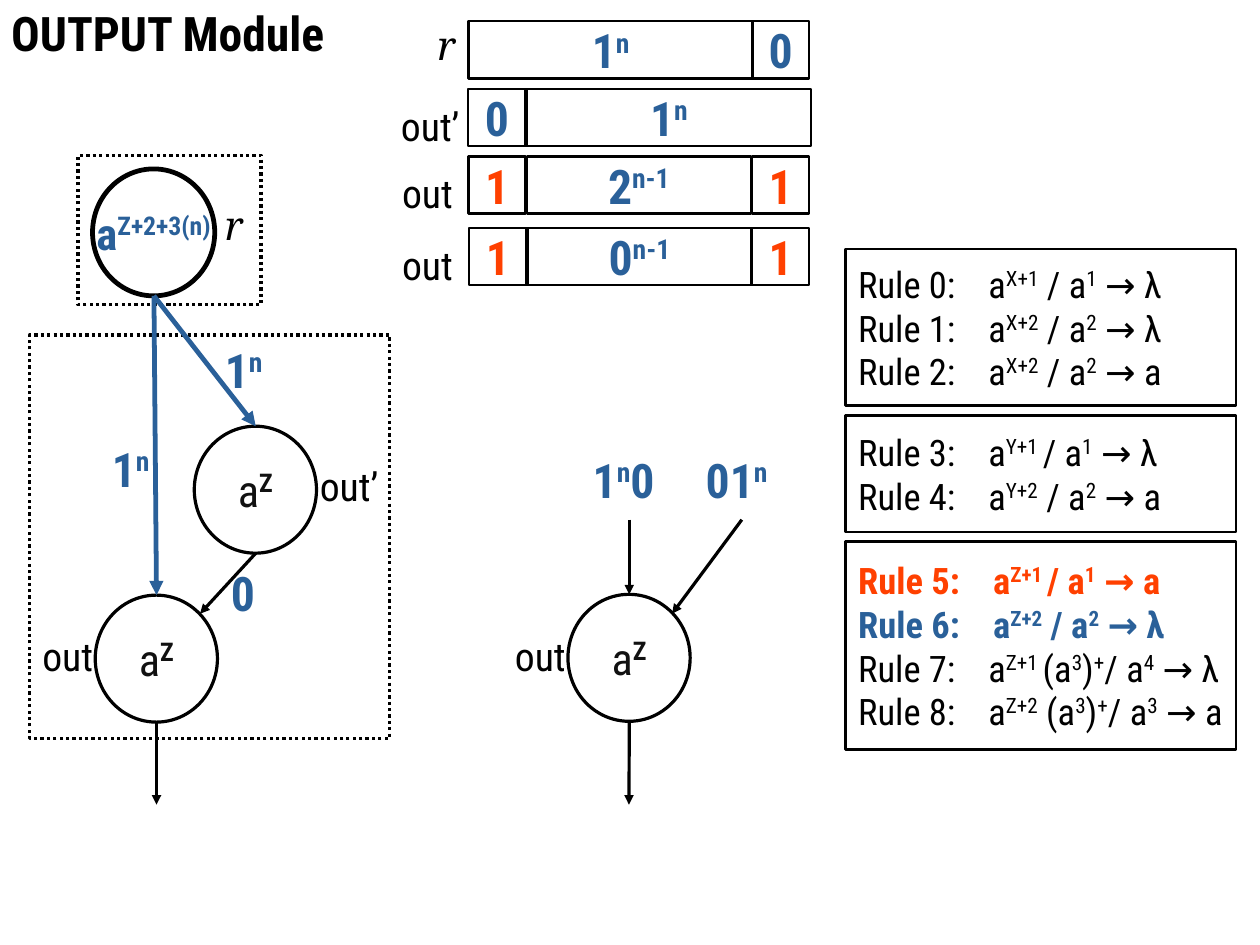
from lxml import etree
from pptx import Presentation
from pptx.dml.color import RGBColor
from pptx.enum import dml, shapes, text
from pptx.oxml import ns
from pptx.util import Pt

BLACK = RGBColor(0x00, 0x00, 0x00)
GREY = RGBColor(0x11, 0x11, 0x11)
BLUE = RGBColor(0x2A, 0x60, 0x99)
RED = RGBColor(0xFF, 0x40, 0x00)
SANS = "Roboto Condensed"
SERIF = "Noto Serif"
RECT = shapes.MSO_SHAPE.RECTANGLE
OVAL = shapes.MSO_SHAPE.OVAL
LEFT = text.PP_ALIGN.LEFT
MID = text.PP_ALIGN.CENTER

deck = Presentation()
deck.slide_width, deck.slide_height = Pt(793.7), Pt(595.28)
slide = deck.slides.add_slide(deck.slide_layouts[6])
draw = slide.shapes


def add_box(kind, x, y, w, h, width):
    box = draw.add_shape(kind, Pt(x), Pt(y), Pt(w), Pt(h))
    box.shadow.inherit = False
    box.fill.background()
    box.line.color.rgb = BLACK
    box.line.width = Pt(width)
    frame = box.text_frame
    frame.word_wrap = False
    frame.vertical_anchor = text.MSO_ANCHOR.MIDDLE
    frame.margin_left = frame.margin_right = Pt(8)
    frame.margin_top = frame.margin_bottom = Pt(4.3)
    return box


def write(para, words, size, color, bold=False, align=LEFT, name=SANS):
    para.alignment = align
    for i, part in enumerate(words.split("^")):
        if part:
            run = para.add_run()
            run.text = part
            font = run.font
            font.size, font.name, font.bold = Pt(size), name, bold
            font.italic = name == SERIF
            font.color.rgb = color
            if i % 2:
                run._r.get_or_add_rPr().set("baseline", "33000")


for x, y, w, h in [(49.2, 97.8, 115.2, 94.2), (18.7, 211, 226.8, 254)]:
    area = add_box(RECT, x, y, w, h, 2)
    area.line.dash_style = dml.MSO_LINE.ROUND_DOT

rules = [
    (157, 98.6, [("Rule 0:\ta^X+1^ / a^1^ → λ", BLACK),
                 ("Rule 1:\ta^X+2^ / a^2^ → λ", BLACK),
                 ("Rule 2:\ta^X+2^ / a^2^ → a", BLACK)]),
    (261.8, 73.4, [("Rule 3:\ta^Y+1 ^/ a^1^ → λ", BLACK),
                   ("Rule 4:\ta^Y+2^ / a^2^ → a", BLACK)]),
    (341.2, 131, [("Rule 5:\ta^Z+1 ^/ a^1^ → a", RED),
                  ("Rule 6:\ta^Z+2^ / a^2^ → λ", BLUE),
                  ("Rule 7:\ta^Z+1 ^(a^3^)^+^/ a^4^ → λ", BLACK),
                  ("Rule 8:\ta^Z+2^ (a^3^)^+^/ a^3^ → a", BLACK)]),
]
for y, h, lines in rules:
    frame = add_box(RECT, 532.6, y, 246.2, h, 1.5).text_frame
    frame.word_wrap = True
    frame.margin_right = 0
    for i, (words, color) in enumerate(lines):
        para = frame.add_paragraph() if i else frame.paragraphs[0]
        bold = color != BLACK
        tabs = etree.SubElement(para._p.get_or_add_pPr(), ns.qn("a:tabLst"))
        stop = etree.SubElement(tabs, ns.qn("a:tab"))
        stop.set("pos", str(Pt(85 if bold else 82)))
        stop.set("algn", "l")
        write(para, words, 23, color, bold)

for x, y in [(60, 374.9), (122.4, 268.5), (357.8, 374.4)]:
    para = add_box(OVAL, x, y, 77, 80, 2).text_frame.paragraphs[0]
    write(para, "a^Z", 28, GREY, align=MID)
    para.runs[1].font.bold = True
source = add_box(OVAL, 58.3, 106.4, 77, 80, 3)
write(source.text_frame.paragraphs[0], "a^Z+2+3(n)", 28, BLUE, True, MID)

links = [
    (97, 186.4, 98.6, 374.9, BLUE, 3),
    (97, 186.4, 161.1, 268.5, BLUE, 3),
    (161.1, 348.5, 126, 386.6, BLACK, 2),
    (98.6, 454.9, 98.6, 506.9, BLACK, 2),
    (467.3, 327.4, 423.4, 386.6, BLACK, 2),
    (396.4, 327.4, 396.4, 374.4, BLACK, 2),
    (396.4, 454.3, 396.2, 506.9, BLACK, 2),
]
for x, y, x2, y2, color, width in links:
    link = draw.add_connector(shapes.MSO_CONNECTOR.STRAIGHT, Pt(x), Pt(y), Pt(x2), Pt(y2))
    link.line.color.rgb = color
    link.line.width = Pt(width)
    etree.SubElement(link.line._get_or_add_ln(), ns.qn("a:tailEnd")).set("type", "triangle")
    etree.SubElement(link._element.spPr, ns.qn("a:effectLst"))

cells = [
    (13.4, [(473.8, 36, "0", BLUE), (295, 179.3, "1^n", BLUE)]),
    (56.1, [(295, 36, "0", BLUE), (331.7, 179.3, "1^n", BLUE)]),
    (98.6, [(295.2, 36, "1", RED), (331.9, 141.1, "2^n-1", BLUE), (473.8, 36, "1", RED)]),
    (143.7, [(295.6, 36, "1", RED), (332.3, 141.1, "0^n-1", BLUE), (473.8, 36, "1", RED)]),
]
for y, row in cells:
    for x, w, words, color in row:
        cell = add_box(RECT, x, y, w, 36, 1.5)
        write(cell.text_frame.paragraphs[0], words, 30, color, True, MID)

labels = [
    (0, -1.4, 216, 46.8, "OUTPUT Module", 30, BLACK, SANS),
    (19.6, 394.4, 46.1, 40.3, "out", 25, BLACK, SANS),
    (194.4, 287.3, 51.1, 40.3, "out’", 25, BLACK, SANS),
    (134.6, 123.1, 22.3, 41, "r", 25, BLACK, SERIF),
    (63.4, 273.4, 41.8, 49.7, "1^n", 30, BLUE, SANS),
    (134.6, 211, 41.8, 49.7, "1^n", 30, BLUE, SANS),
    (138.4, 351.4, 41.8, 49.7, "0", 30, BLUE, SANS),
    (317.3, 394.4, 46.1, 40.3, "out", 25, BLACK, SANS),
    (366.3, 280.5, 60.5, 46.8, "1^n^0", 30, BLUE, SANS),
    (437.5, 280.5, 60.5, 46.8, "01^n", 30, BLUE, SANS),
    (268.4, 9.4, 36.7, 41, "r", 25, BLACK, SERIF),
    (245.5, 60.5, 51.1, 40.3, "out’", 25, BLACK, SANS),
    (246.2, 103.1, 46.1, 40.3, "out", 25, BLACK, SANS),
    (246.2, 148.3, 46.1, 40.3, "out", 25, BLACK, SANS),
]
for x, y, w, h, words, size, color, name in labels:
    frame = draw.add_textbox(Pt(x), Pt(y), Pt(w), Pt(h)).text_frame
    frame.word_wrap = True
    frame.margin_right = 0
    write(frame.paragraphs[0], words, size, color, size == 30, name=name)

deck.save("out.pptx")
